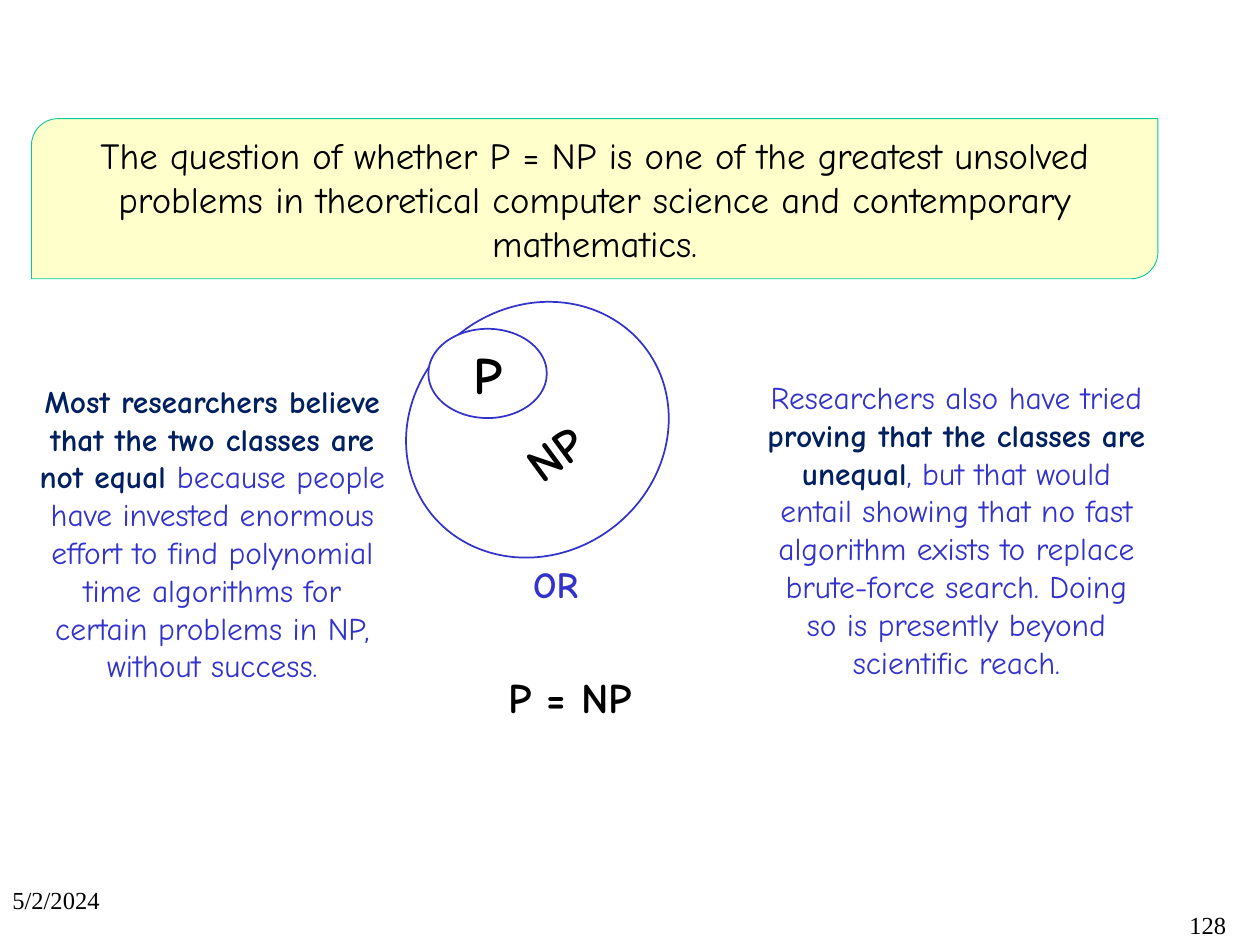
from pptx import Presentation
from pptx.dml.color import RGBColor
from pptx.enum.shapes import MSO_SHAPE
from pptx.enum.text import MSO_ANCHOR, PP_ALIGN
from pptx.util import Inches, Pt

COLORS = {"ink": "000000", "blue": "3333CC", "navy": "002060",
          "cream": "FFFFCC", "green": "00CC99", "white": "FFFFFF"}
BODY, FOOTER = "Comic Neue", "Times New Roman"

prs = Presentation()
prs.slide_width, prs.slide_height = Inches(10), Inches(7.5)
s = prs.slides.add_slide(prs.slide_layouts[6])


def box(at):
    """Turn percentages of the slide into left, top, width, height."""
    sizes = (prs.slide_width, prs.slide_height) * 2
    return [int(size * share / 100) for size, share in zip(sizes, at)]


def write(sp, runs, size, font=BODY, align=PP_ALIGN.CENTER):
    """Fill a shape with one paragraph of (text, color, bold) runs."""
    tf = sp.text_frame
    tf.word_wrap = True
    p = tf.paragraphs[0]
    p.alignment = align
    for text, color, bold in runs:
        r = p.add_run()
        r.text = text
        r.font.color.rgb = RGBColor.from_string(COLORS[color])
        for name, value in {"name": font, "size": Pt(size), "bold": bold}.items():
            setattr(r.font, name, value)


# Banner and set diagram: kind, place, fill, line, width, rotation, text, size, bold
shapes = [
    (MSO_SHAPE.ROUND_2_DIAG_RECTANGLE, (2.5, 12.55, 89.4, 16.95), "cream", "green", 0.5, 0,
     "The question of whether P = NP is one of the greatest unsolved problems in "
     "theoretical computer science and contemporary mathematics.", 21, False),
    (MSO_SHAPE.OVAL, (31.9, 32.4, 21.5, 26.15), "white", "blue", 1, 323.5, "NP", 27, True),
    (MSO_SHAPE.OVAL, (34, 34.8, 9.4, 9.45), "white", "blue", 1, 0, "P", 30, True),
    (MSO_SHAPE.OVAL, (31.5, 67.05, 27.5, 13.35), "white", "white", 1, 0, "P = NP", 24, True),
]
for kind, at, fill, line, width, rotation, text, size, bold in shapes:
    sp = s.shapes.add_shape(kind, *box(at))
    sp.shadow.inherit = False
    sp.rotation = rotation
    sp.fill.solid()
    sp.fill.fore_color.rgb = RGBColor.from_string(COLORS[fill])
    sp.line.color.rgb = RGBColor.from_string(COLORS[line])
    sp.line.width = Pt(width)
    sp.text_frame.vertical_anchor = MSO_ANCHOR.MIDDLE
    write(sp, [(text, "ink", bold)], size)
    if text == "NP":  # keep the label clear of the inner set
        sp.text_frame.margin_top = Inches(0.5)

# Side arguments, the alternative, and footer
texts = [
    ((1.9, 39.75, 29.9, 41.75),
     [("Most researchers believe that the two classes are not equal ", "navy", True),
      ("because people have invested enormous effort to find polynomial time algorithms "
       "for certain problems in NP, without success.", "blue", False)],
     18, BODY, PP_ALIGN.CENTER),
    ((59.8, 39.35, 32.2, 37.75),
     [("Researchers also have tried ", "blue", False),
      ("proving that the classes are unequal", "navy", True),
      (", but that would entail showing that no fast algorithm exists to replace "
       "brute-force search. Doing so is presently beyond scientific reach.", "blue", False)],
     18, BODY, PP_ALIGN.CENTER),
    ((32.7, 58.8, 22.8, 6), [("OR", "blue", True)], 21, BODY, PP_ALIGN.CENTER),
    ((0, 93.05, 23.3, 6.95), [("5/2/2024", "ink", False)], 14, FOOTER, PP_ALIGN.LEFT),
    ((77.5, 95.6, 20.8, 4.4), [("128", "ink", False)], 14, FOOTER, PP_ALIGN.RIGHT),
]
for at, runs, size, font, align in texts:
    write(s.shapes.add_textbox(*box(at)), runs, size, font, align)

prs.save("out.pptx")
